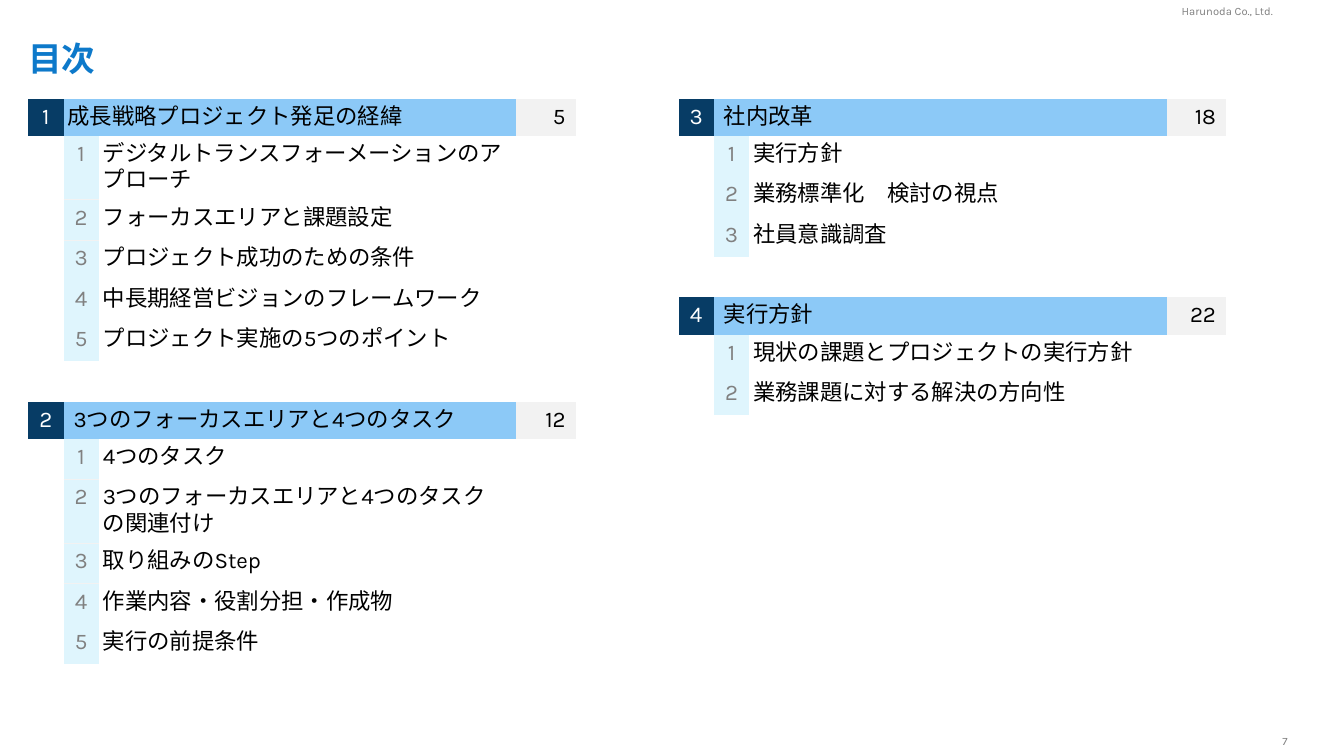
from lxml import etree
from pptx import Presentation
from pptx.dml.color import RGBColor
from pptx.enum.text import MSO_ANCHOR, PP_ALIGN
from pptx.oxml.ns import qn
from pptx.util import Pt

PX = 9144  # 100 px to the inch
LEFT, MID, RIGHT = PP_ALIGN.LEFT, PP_ALIGN.CENTER, PP_ALIGN.RIGHT
TOP, CENTRE = MSO_ANCHOR.TOP, MSO_ANCHOR.MIDDLE

BLACK = RGBColor(0x00, 0x00, 0x00)
WHITE = RGBColor(0xFF, 0xFF, 0xFF)
GRAY = RGBColor(0x80, 0x80, 0x80)
PALE = RGBColor(0xF2, 0xF2, 0xF2)
BLUE = RGBColor(0x0D, 0x79, 0xCA)
NAVY = RGBColor(0x07, 0x3C, 0x65)
SKY = RGBColor(0x8C, 0xC9, 0xF7)
ICE = RGBColor(0xDF, 0xF5, 0xFD)

NO_STYLE = "{2D5ABB26-0587-4C30-8999-92F81FD0307C}"
COLS = (35, 35, 414, 59)
ROW, GAP = 37, 40

# Each part: heading, page, heading indent, ruled lines, items
LEFT_PARTS = [
    ("成長戦略プロジェクト発足の経緯", 5, 4, 1, [
        "デジタルトランスフォーメーションのアプローチ",
        "フォーカスエリアと課題設定",
        "プロジェクト成功のための条件",
        "中長期経営ビジョンのフレームワーク",
        "プロジェクト実施の5つのポイント"]),
    ("3つのフォーカスエリアと4つのタスク", 12, 10, 2, [
        "4つのタスク",
        "3つのフォーカスエリアと4つのタスクの関連付け",
        "取り組みのStep",
        "作業内容・役割分担・作成物",
        "実行の前提条件"]),
]
RIGHT_PARTS = [
    ("社内改革", 18, 10, 0, [
        "実行方針", "業務標準化　検討の視点", "社員意識調査"]),
    ("実行方針", 22, 10, 0, [
        "現状の課題とプロジェクトの実行方針", "業務課題に対する解決の方向性"]),
]


class Deck:
    font = "Karla"

    def __init__(self, wide, high):
        self.prs = Presentation()
        self.prs.slide_width, self.prs.slide_height = wide * PX, high * PX
        self.slide = self.prs.slides.add_slide(self.prs.slide_layouts[5])

    def put(self, frame, text, size, color, align=LEFT, bold=False):
        """Set the text of a frame and format it."""
        frame.text = text
        para = frame.paragraphs[0]
        para.alignment = align
        run = para.runs[0]
        run.font.size, run.font.name, run.font.bold = Pt(size), self.font, bold
        run.font.color.rgb = color
        east = etree.SubElement(run._r.get_or_add_rPr(), qn("a:ea"))
        east.set("typeface", self.font)

    def inset(self, item, left, top, right, bottom):
        item.margin_left, item.margin_right = left * PX, right * PX
        item.margin_top, item.margin_bottom = top * PX, bottom * PX

    def title(self, text, x, y, w, h):
        shape = self.slide.shapes.title
        shape.left, shape.top, shape.width, shape.height = (
            n * PX for n in (x, y, w, h))
        frame = shape.text_frame
        frame.vertical_anchor = CENTRE
        self.inset(frame, 0, 5, 0, 5)
        self.put(frame, text, 24, BLUE, bold=True)
        frame.paragraphs[0].line_spacing = 0.9

    def label(self, text, x, y, w, h, align=LEFT, anchor=TOP, wrap=True):
        box = self.slide.shapes.add_textbox(*(n * PX for n in (x, y, w, h)))
        frame = box.text_frame
        frame.word_wrap, frame.vertical_anchor = wrap, anchor
        self.inset(frame, 0, 0, 0, 0)
        self.put(frame, text, 8, GRAY, align)

    def cell(self, cell, text, color, fill=None, align=LEFT, indent=4):
        self.inset(cell, indent, 5, 10, 5)
        self.put(cell.text_frame, str(text), 16, color, align)
        if fill is not None:
            cell.fill.solid()
            cell.fill.fore_color.rgb = fill

    def edge(self, cell, side):
        """Draw a thin pale border; side is lnT or lnB."""
        line = etree.Element(qn("a:" + side), w="12192")
        fill = etree.SubElement(line, qn("a:solidFill"))
        etree.SubElement(fill, qn("a:srgbClr"), val=str(PALE))
        props = cell._tc.get_or_add_tcPr()
        props.insert(len(props.findall(qn("a:lnT"))), line)

    def contents(self, x, y, parts, first, spare=0):
        """Lay out numbered parts, a gap row between them, spare rows below."""
        heights = []
        for part in parts:
            heights += [ROW] * (1 + len(part[4])) + [GAP]
        heights = heights[:-1] + [GAP] * spare
        table = self.slide.shapes.add_table(
            len(heights), len(COLS), x * PX, y * PX,
            sum(COLS) * PX, sum(heights) * PX).table
        table.first_row = table.horz_banding = False
        table._tbl.tblPr.find(qn("a:tableStyleId")).text = NO_STYLE
        for col, wide in zip(table.columns, COLS):
            col.width = wide * PX
        for row, high in zip(table.rows, heights):
            row.height = high * PX

        top = 0
        for num, (head, page, indent, rules, items) in enumerate(parts, first):
            table.cell(top, 1).merge(table.cell(top, 2))
            self.cell(table.cell(top, 0), num, WHITE, NAVY, MID, 10)
            self.cell(table.cell(top, 1), head, BLACK, SKY, indent=indent)
            self.cell(table.cell(top, 3), page, BLACK, PALE, RIGHT)
            for i, item in enumerate(items, 1):
                mark = table.cell(top + i, 1)
                self.cell(mark, i, GRAY, ICE, MID, 10)
                self.cell(table.cell(top + i, 2), item, BLACK)
                if 1 < i <= rules + 1:
                    self.edge(mark, "lnT")
                if i <= rules:
                    self.edge(mark, "lnB")
            top += len(items) + 2


def main():
    deck = Deck(1333, 750)
    deck.label("Harunoda Co., Ltd.", 1172, 4, 91, 13, anchor=CENTRE, wrap=False)
    deck.label("7", 1253, 729, 43, 14, MID)
    deck.title("目次", 28, 31, 1268, 59)
    deck.contents(28, 98, LEFT_PARTS, 1, spare=4)
    deck.contents(673, 98, RIGHT_PARTS, 3)
    deck.prs.save("out.pptx")


if __name__ == "__main__":
    main()
